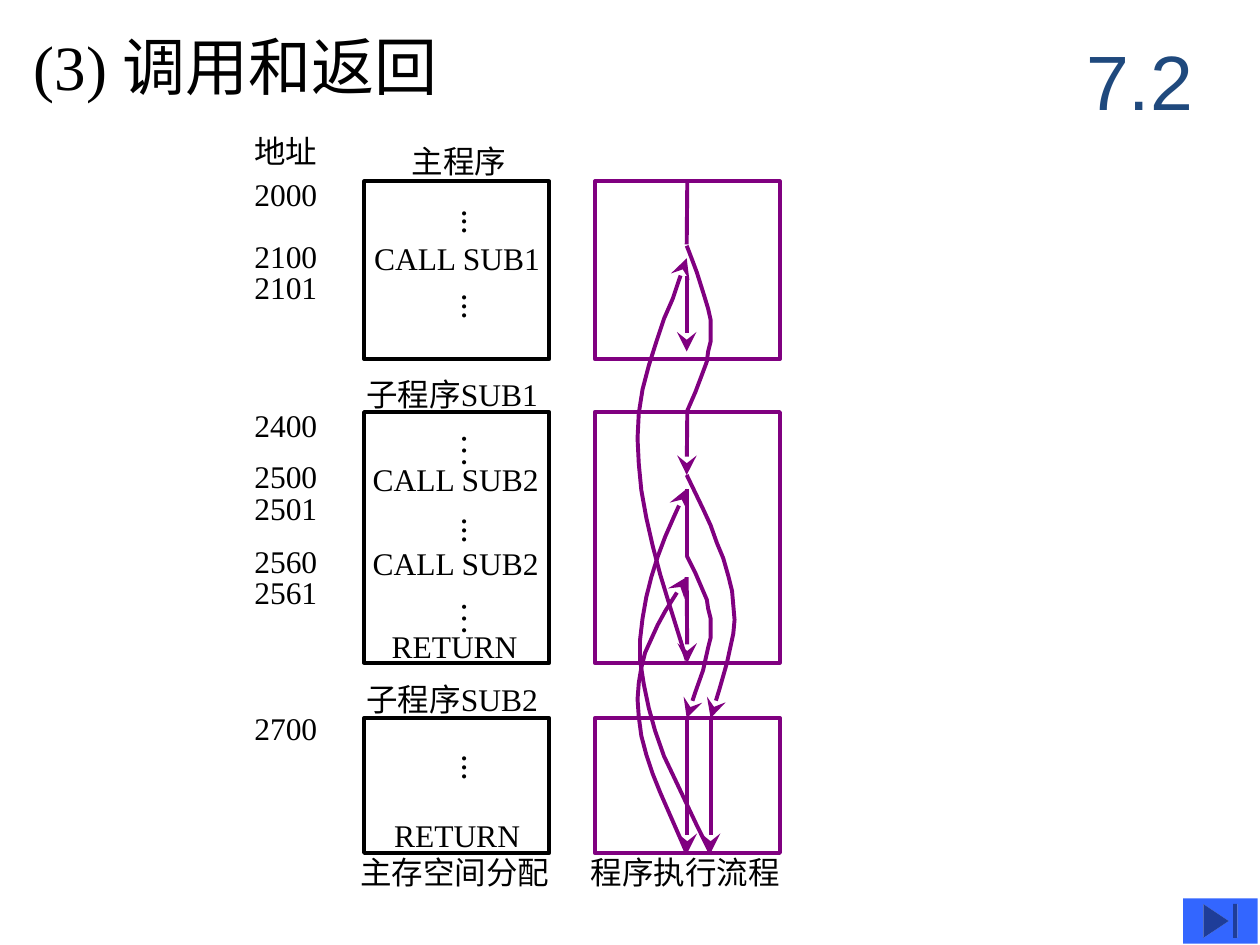
from pptx import Presentation
from pptx.dml.color import RGBColor
from pptx.enum.shapes import MSO_CONNECTOR, MSO_SHAPE
from pptx.enum.text import MSO_ANCHOR, MSO_AUTO_SIZE, PP_ALIGN
from pptx.oxml.ns import qn
from pptx.util import Pt
from lxml.etree import SubElement

PX = 9144
BLACK = RGBColor(0, 0, 0)
PURPLE = RGBColor(0x80, 0, 0x80)
NAVY = RGBColor(0x1F, 0x49, 0x7D)
BLUE = RGBColor(0x33, 0x66, 0xFF)

deck = Presentation()
deck.slide_width = 1000 * PX
deck.slide_height = 750 * PX
shapes = deck.slides.add_slide(deck.slide_layouts[6]).shapes


def label(text, x, y, w, h=40, size=18, font="Times New Roman", color=BLACK):
    box = shapes.add_textbox(x * PX, y * PX, w * PX, h * PX)
    frame = box.text_frame
    frame.text = text
    frame.word_wrap = False
    frame.auto_size = MSO_AUTO_SIZE.SHAPE_TO_FIT_TEXT
    run = frame.paragraphs[0].runs[0]
    run.font.size = Pt(size)
    run.font.name = font
    run.font.color.rgb = color
    return frame


def stroke(item, arrow):
    item.line.color.rgb = PURPLE
    item.line.width = Pt(2.25)
    if arrow:
        SubElement(item.line._get_or_add_ln(), qn("a:tailEnd"),
                   type="stealth", w="lg", len="lg")


title = label("(3) 调用和返回", 17, 17, 570, 70, 36)
title.word_wrap = True

number = label("7.2", 842, 17, 125, 92, 44, "Arial", NAVY)
number.word_wrap = True
number.auto_size = MSO_AUTO_SIZE.NONE
number.vertical_anchor = MSO_ANCHOR.MIDDLE
number.paragraphs[0].alignment = PP_ALIGN.CENTER

curves = [
    [(545, 441), (552, 455), (558, 469), (561, 476), (562, 483), (564, 491),
     (564, 506), (562, 514), (558, 532), (552, 549), (545, 570)],
    [(545, 377), (558, 404), (564, 417), (569, 431), (574, 443), (578, 457),
     (581, 469), (583, 492), (582, 503), (577, 526), (571, 547), (564, 570)],
    [(564, 677), (554, 657), (536, 619), (527, 600), (520, 580), (515, 562),
     (511, 543), (508, 524), (508, 508), (510, 491), (513, 474), (517, 458),
     (522, 442), (528, 426), (535, 410), (545, 388)],
    [(545, 677), (531, 645), (524, 629), (518, 614), (513, 599), (509, 584),
     (507, 569), (506, 555), (507, 542), (509, 530), (512, 518), (517, 507),
     (522, 496), (528, 485), (545, 458)],
    [(545, 524), (531, 479), (524, 456), (518, 433), (513, 411), (509, 389),
     (507, 368), (506, 348), (507, 328), (510, 309), (515, 290), (521, 271),
     (527, 253), (534, 237), (539, 222), (545, 205)],
    [(545, 327), (552, 311), (558, 295), (561, 287), (562, 279), (564, 271),
     (564, 254), (562, 245), (559, 235), (553, 216), (547, 200), (545, 195)],
]
for curve in curves:
    pen = shapes.build_freeform(*curve[0], scale=PX)
    pen.add_line_segments(curve[1:], close=False)
    flow = pen.convert_to_shape()
    flow.shadow.inherit = False
    flow.fill.background()
    stroke(flow, curve is not curves[-1])

frames = []
for x, color in [(289, BLACK), (472, PURPLE)]:
    for y, h in [(144, 141), (327, 199), (570, 107)]:
        frame = shapes.add_shape(MSO_SHAPE.RECTANGLE, x * PX, y * PX, 147 * PX, h * PX)
        frame.shadow.inherit = False
        frame.fill.background()
        frame.line.color.rgb = color
        frame.line.width = Pt(2.25)
        frames.append(frame)
main, first, second = frames[3:]

steps = [
    (545, 144, 194, False, main, None),
    (545, 219, 279, True, None, None),
    (545, 327, 377, True, first, None),
    (545, 388, 441, False, None, None),
    (545, 458, 526, True, None, first),
    (545, 570, 677, True, second, second),
    (564, 570, 677, True, None, None),
]
for x, top, end, arrow, start, stop in steps:
    step = shapes.add_connector(MSO_CONNECTOR.STRAIGHT, x * PX, top * PX, x * PX, end * PX)
    if start:
        step.begin_connect(start, 0)
    if stop:
        step.end_connect(stop, 2)
    stroke(step, arrow)
    SubElement(step._element.spPr, qn("a:effectLst"))

words = [
    ("主程序", 317, 108, 95),
    ("CALL SUB1", 287, 185, 152),
    ("子程序SUB1", 281, 293, 162),
    ("CALL SUB2", 286, 360, 152),
    ("CALL SUB2", 286, 427, 152),
    ("RETURN", 301, 493, 120),
    ("子程序SUB2", 281, 535, 162),
    ("RETURN", 303, 643, 120),
    ("主存空间分配", 276, 672, 170),
    ("程序执行流程", 459, 672, 170),
]
for word in words:
    label(*word)

marks = [("地址", 100), ("2000", 134), ("2100", 183), ("2101", 208), ("2400", 317),
         ("2500", 358), ("2501", 383), ("2560", 425), ("2561", 450), ("2700", 558)]
for text, y in marks:
    label(text, 192, y, 70)

dots = [("...", 156, 31), ("...", 223, 31), ("…", 334, 38),
        ("...", 401, 31), ("…", 467, 38), ("...", 589, 31)]
for text, y, h in dots:
    dot = label(text, 347, y, 53, h, 20)
    dot.margin_left = dot.margin_right = 5 * PX
    dot.margin_top = dot.margin_bottom = 10 * PX
    dot._txBody.bodyPr.set("vert", "eaVert")

button = shapes.add_shape(MSO_SHAPE.ACTION_BUTTON_END, 939 * PX, 713 * PX, 59 * PX, 36 * PX)
button.shadow.inherit = False
button.fill.solid()
button.fill.fore_color.rgb = BLUE
button.line.fill.background()

deck.save("out.pptx")
